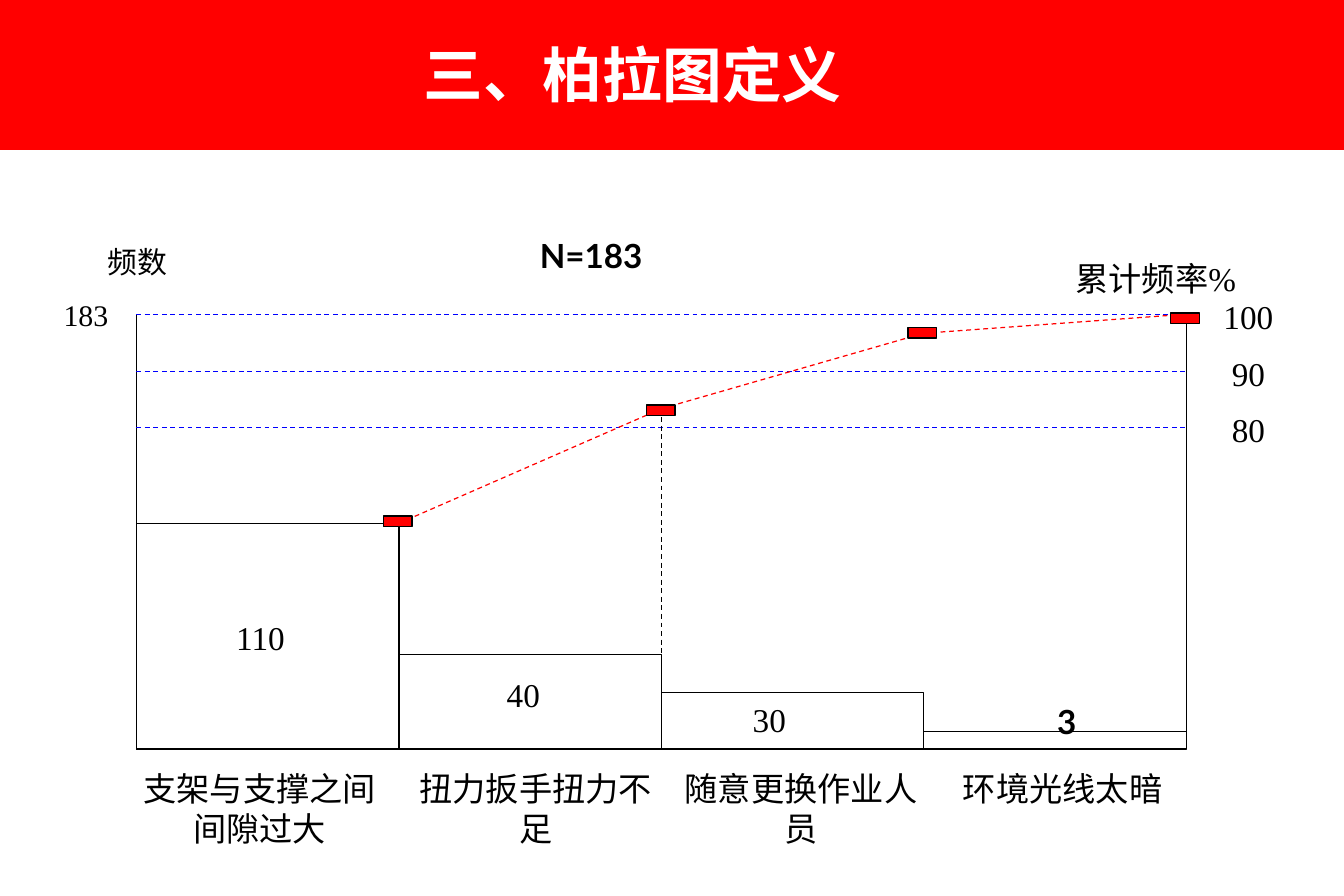
from itertools import pairwise

from lxml.etree import SubElement
from pptx import Presentation
from pptx.dml.color import RGBColor
from pptx.enum.dml import MSO_LINE
from pptx.enum.shapes import MSO_CONNECTOR as CONNECTOR, MSO_SHAPE as SHAPE
from pptx.enum.text import MSO_ANCHOR as ANCHOR, PP_ALIGN as ALIGN
from pptx.oxml.ns import qn
from pptx.util import Emu, Pt

PX = 9144
BLACK, WHITE, RED, BLUE = "000000", "FFFFFF", "FF0000", "0000FF"
SERIF, SANS = "Times New Roman", "Lato"


def px(*lengths):
    return [Emu(length * PX) for length in lengths]


def color(hex_code):
    return RGBColor.from_string(hex_code)


class ParetoSlide:
    """Draws styled elements on one slide, with lengths in px."""

    def __init__(self, slide, line_width=0.75):
        self.shapes = slide.shapes
        self.line_width = Pt(line_width)

    def box(self, left, top, width, height, fill=WHITE, outline=BLACK):
        box = self.shapes.add_shape(SHAPE.RECTANGLE, *px(left, top, width, height))
        box.shadow.inherit = False
        box.fill.solid()
        box.fill.fore_color.rgb = color(fill)
        box.line.color.rgb = color(outline)
        box.line.width = self.line_width
        return box

    def line(self, x1, y1, x2, y2, stroke=BLACK, dashed=False):
        line = self.shapes.add_connector(CONNECTOR.STRAIGHT, *px(x1, y1, x2, y2))
        line.line.color.rgb = color(stroke)
        line.line.width = self.line_width
        if dashed:
            line.line.dash_style = MSO_LINE.DASH
        SubElement(line._element.spPr, qn("a:effectLst"))

    def set_text(self, frame, text, size, font, ink=BLACK, bold=False, align=ALIGN.CENTER):
        frame.text = text
        paragraph = frame.paragraphs[0]
        paragraph.alignment = align
        style = paragraph.runs[0].font
        style.name, style.size, style.bold = font, Pt(size), bold
        style.color.rgb = color(ink)

    def label(self, text, left, top, width=78, height=31, size=20):
        frame = self.box(left, top, width, height, outline=WHITE).text_frame
        frame.margin_left = frame.margin_right = 0
        frame.margin_top = frame.margin_bottom = 0
        frame.vertical_anchor = ANCHOR.TOP
        frame.word_wrap = True
        self.set_text(frame, text, size, SERIF)

    def note(self, text, left, top, width, height):
        frame = self.shapes.add_textbox(*px(left, top, width, height)).text_frame
        self.set_text(frame, text, 20, SANS, bold=True, align=ALIGN.LEFT)

    def title(self, text, left, top, width, height):
        frame = self.shapes.add_textbox(*px(left, top, width, height)).text_frame
        frame.word_wrap = True
        frame.vertical_anchor = ANCHOR.MIDDLE
        self.set_text(frame, text, 36, SERIF, WHITE, bold=True)


def main():
    deck = Presentation()
    deck.slide_width, deck.slide_height = px(1125, 750)
    pareto = ParetoSlide(deck.slides.add_slide(deck.slide_layouts[6]))

    pareto.box(0, 0, 1125, 125, RED, RED)
    pareto.title("三、柏拉图定义", 83, 8, 893, 108)

    axis_left, axis_right, axis_top, baseline = 114, 993, 263, 627
    bar_width = (axis_right - axis_left) / 4
    edges = [axis_left + round(i * bar_width) for i in range(5)]
    bar_tops = [438, 548, 580, 612]
    percent_levels = {"80": 358, "90": 311, "100": axis_top}

    pareto.line(axis_left, baseline, axis_right, baseline)
    pareto.line(axis_left, axis_top, axis_left, baseline)
    for (left, right), top in zip(pairwise(edges), bar_tops):
        pareto.box(left, top, right - left, baseline - top)
    pareto.line(axis_right, axis_top, axis_right, baseline)

    for percent, level in percent_levels.items():
        pareto.line(axis_left, level, axis_right, level, BLUE, dashed=True)
        pareto.label(percent, 1006, level - 15)

    cumulative = list(zip(edges[1:], [438, 342, 279, axis_top]))
    pareto.line(*cumulative[1], edges[2], bar_tops[1], dashed=True)
    for start, end in pairwise(cumulative):
        pareto.line(*start, *end, RED, dashed=True)
    for (x, _), marker_top in zip(cumulative, [432, 339, 274, 262]):
        pareto.box(x - 13, marker_top, 24, 9, RED)

    pareto.label("频数", 76, 204, size=18)
    pareto.label("183", 33, 248, size=18)
    pareto.label("累计频率%", 864, 216, 207, 32)
    for count, left, top in [("110", 179, 517), ("40", 399, 564), ("30", 605, 585)]:
        pareto.label(count, left, top)
    causes = {
        "支架与支撑之间间隙过大": 114,
        "扭力扳手扭力不足": 345,
        "随意更换作业人员": 567,
        "环境光线太暗": 786,
    }
    for cause, left in causes.items():
        pareto.label(cause, left, 643, 207, 32)

    pareto.note("N=183", 442, 192, 146, 44)
    pareto.note("3", 875, 582, 41, 44)
    deck.save("out.pptx")


if __name__ == "__main__":
    main()
